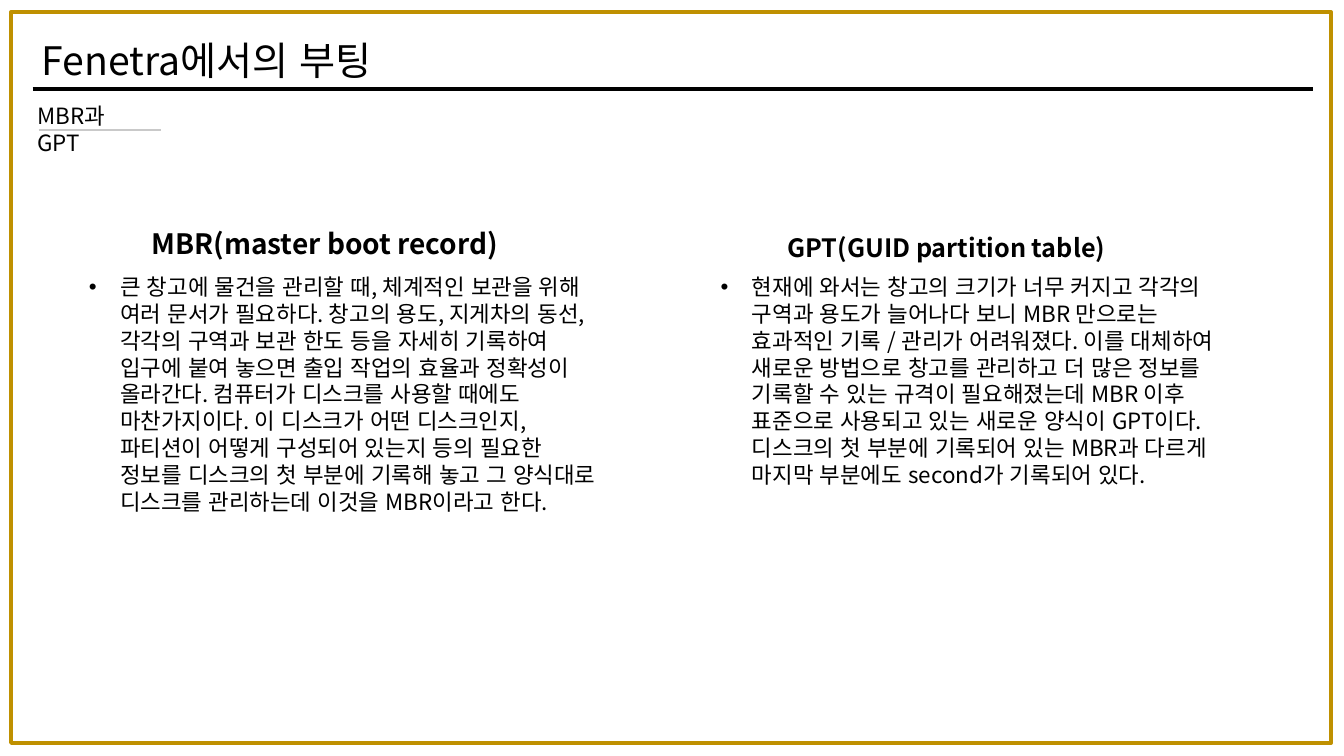
import pptx
import pptx.dml.color
import pptx.enum.lang
import pptx.enum.shapes
import pptx.enum.text
import pptx.oxml.ns
import pptx.util
from lxml import etree

COLORS = {"ink": "000000", "frame": "BF9000", "underline": "C9C9C9"}
FONT = "Noto Sans CJK KR"
SLIDE_WIDTH = pptx.util.Inches(13.33)
SLIDE_HEIGHT = pptx.util.Inches(7.5)

SECTIONS = [
    {
        "heading": "MBR(master boot record)",
        "heading_area": (10.52, 29.33, 30, 5.87),
        "heading_size": 20,
        "body": "큰 창고에 물건을 관리할 때, 체계적인 보관을 위해 여러 문서가 필요하다. "
                "창고의 용도, 지게차의 동선, 각각의 구역과 보관 한도 등을 자세히 기록하여 "
                "입구에 붙여 놓으면 출입 작업의 효율과 정확성이 올라간다. "
                "컴퓨터가 디스크를 사용할 때에도 마찬가지이다. 이 디스크가 어떤 디스크인지, "
                "파티션이 어떻게 구성되어 있는지 등의 필요한 정보를 디스크의 첫 부분에 "
                "기록해 놓고 그 양식대로 디스크를 관리하는데 이것을 MBR이라고 한다.",
        "body_area": (5.88, 35.47, 39.46, 46.27),
    },
    {
        "heading": "GPT(GUID partition table)",
        "heading_area": (57.85, 30.13, 28.58, 5.33),
        "heading_size": 18,
        "body": "현재에 와서는 창고의 크기가 너무 커지고 각각의 구역과 용도가 늘어나다 보니 "
                "MBR 만으로는 효과적인 기록 / 관리가 어려워졌다. 이를 대체하여 새로운 방법으로 "
                "창고를 관리하고 더 많은 정보를 기록할 수 있는 규격이 필요해졌는데 "
                "MBR 이후 표준으로 사용되고 있는 새로운 양식이 GPT이다. "
                "디스크의 첫 부분에 기록되어 있는 MBR과 다르게 마지막 부분에도 "
                "second가 기록되어 있다.",
        "body_area": (52.89, 35.47, 39.46, 42.67),
    },
]


def color(name):
    return pptx.dml.color.RGBColor.from_string(COLORS[name])


def across(percent):
    return round(SLIDE_WIDTH * percent / 100)


def down(percent):
    return round(SLIDE_HEIGHT * percent / 100)


def place(area):
    left, top, width, height = area
    return across(left), down(top), across(width), down(height)


def add_text(page, text, area, size, bold=False):
    box = page.shapes.add_textbox(*place(area))
    frame = box.text_frame
    frame.word_wrap = True
    frame.text = text
    para = frame.paragraphs[0]
    span = para.runs[0]
    span.font.name = FONT
    span.font.size = pptx.util.Pt(size)
    span.font.bold = bold
    span.font.language_id = pptx.enum.lang.MSO_LANGUAGE_ID.KOREAN
    span.font.color.rgb = color("ink")
    east_asian = etree.SubElement(span.font._element, pptx.oxml.ns.qn("a:ea"))
    east_asian.set("typeface", FONT)
    return para


def add_bullet(para):
    indent = pptx.util.Inches(0.31)
    properties = para._p.get_or_add_pPr()
    properties.set("marL", str(indent))
    properties.set("indent", str(-indent))
    font = etree.SubElement(properties, pptx.oxml.ns.qn("a:buFont"))
    font.set("typeface", "Arial")
    bullet = etree.SubElement(properties, pptx.oxml.ns.qn("a:buChar"))
    bullet.set("char", "•")


def add_rule(page, left, right, height, color_name, weight):
    rule = page.shapes.add_connector(
        pptx.enum.shapes.MSO_CONNECTOR.STRAIGHT,
        across(left), down(height), across(right), down(height))
    rule.line.color.rgb = color(color_name)
    rule.line.width = pptx.util.Pt(weight)
    etree.SubElement(rule._element.spPr, pptx.oxml.ns.qn("a:effectLst"))


def add_border(page, area):
    border = page.shapes.add_shape(
        pptx.enum.shapes.MSO_SHAPE.RECTANGLE, *place(area))
    border.shadow.inherit = False
    border.fill.background()
    border.line.color.rgb = color("frame")
    border.line.width = pptx.util.Pt(3)


def add_section(page, section):
    add_text(page, section["heading"], section["heading_area"],
             section["heading_size"], bold=True)
    add_bullet(add_text(page, section["body"], section["body_area"], 16))


def main():
    deck = pptx.Presentation()
    deck.slide_width = SLIDE_WIDTH
    deck.slide_height = SLIDE_HEIGHT
    page = deck.slides.add_slide(deck.slide_layouts[6])

    add_text(page, "Fenetra에서의 부팅", (2.35, 4.13, 30.3, 7.6), 28)
    add_rule(page, 2.43, 97.72, 11.73, "ink", 3)
    add_border(page, (0.83, 1.6, 98.2, 96.67))
    add_rule(page, 2.88, 12, 17.2, "underline", 1.75)
    add_text(page, "MBR과 GPT", (2.05, 12.87, 9.98, 4.93), 16)
    for section in SECTIONS:
        add_section(page, section)

    deck.save("out.pptx")


if __name__ == "__main__":
    main()
